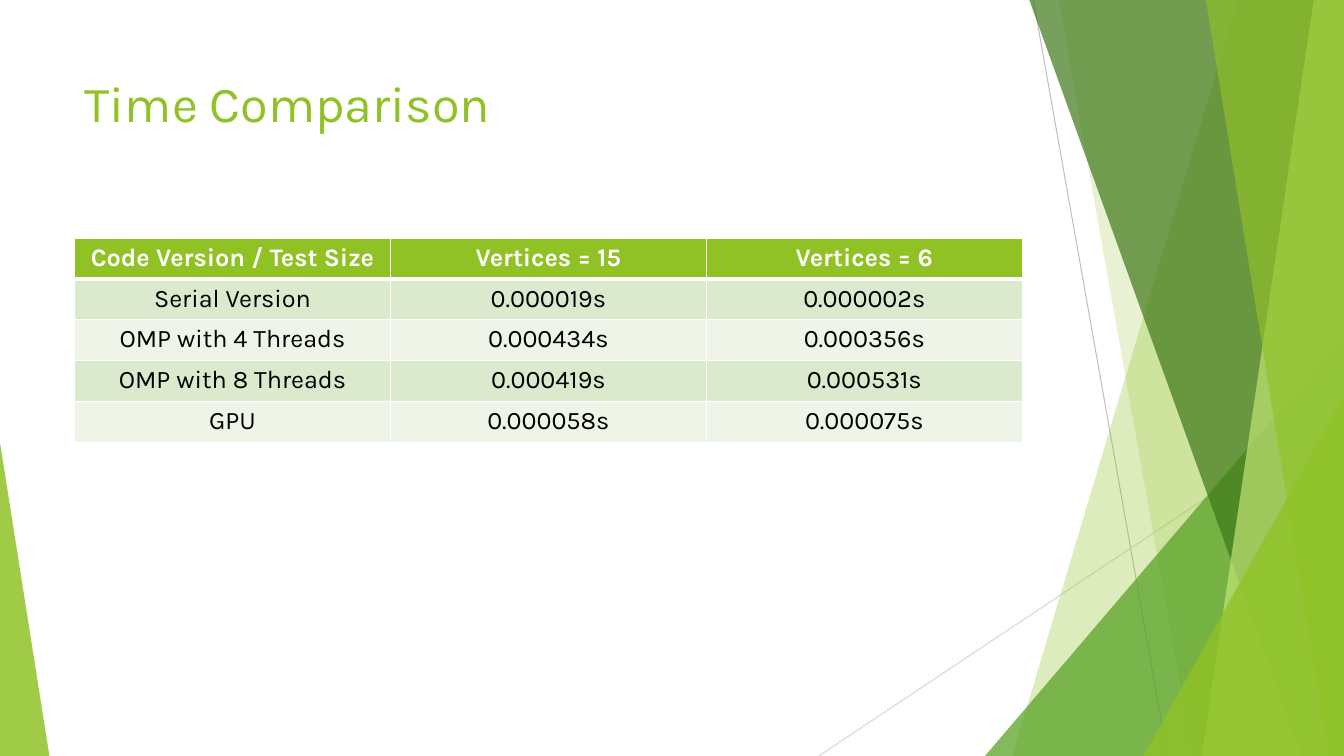
"""Build the Time Comparison slide: a timing table beside translucent green facets."""
from dataclasses import dataclass

from lxml.etree import SubElement
from pptx import Presentation
from pptx.dml.color import RGBColor
from pptx.enum.shapes import MSO_CONNECTOR, MSO_SHAPE
from pptx.enum.text import MSO_ANCHOR, MSO_AUTO_SIZE, PP_ALIGN
from pptx.oxml.ns import qn
from pptx.util import Inches, Pt


@dataclass(frozen=True)
class Theme:
    """Colours, font and type sizes of the slide."""
    font: str = "Karla"
    title_size: int = 36
    table_size: int = 18
    lime: str = "90C226"
    pale_lime: str = "C0E474"
    green: str = "54A021"
    forest: str = "3F7819"
    white: str = "FFFFFF"
    black: str = "000000"
    bands: tuple = ("EEF4E8", "DBE9CD")
    steep_line: str = "BFBFBF"
    shallow_line: str = "D9D9D9"


theme = Theme()
deck = Presentation()
deck.slide_width, deck.slide_height = Inches(13.33), Inches(7.5)


def across(percent):
    """Turn a percentage of the slide width into a length."""
    return round(deck.slide_width * percent / 100)


def down(percent):
    """Turn a percentage of the slide height into a length."""
    return round(deck.slide_height * percent / 100)


page = deck.slides.add_slide(deck.slide_layouts[5])

lines = [
    (76.89, 0, 86.87, 100, theme.steep_line),
    (100, 53.73, 60.92, 100, theme.shallow_line),
]
for start_x, start_y, end_x, end_y, colour in lines:
    line = page.shapes.add_connector(
        MSO_CONNECTOR.STRAIGHT, across(start_x), down(start_y), across(end_x), down(end_y))
    line.line.color.rgb = RGBColor.from_string(colour)
    line.line.width = Pt(0.75)
    SubElement(line.element.spPr, qn("a:effectLst"))

facets = [
    ("sheet", (92.12, 75.32), theme.lime, 30),
    ("sheet", (78.77, 88.75), theme.lime, 20),
    ("triangle", (73.29, 100, 44.4, 1), theme.green, 72),
    ("sheet", (76.59, 96.85), theme.forest, 70),
    ("sheet", (97.75, 89.42), theme.pale_lime, 70),
    ("sheet", (89.72, 98.87), theme.lime, 65),
    ("triangle", (85.07, 100, 52.4, 1), theme.lime, 80),
    ("triangle", (0, 3.68, 58.53, 0), theme.lime, 85),
]
for kind, place, colour, opacity in facets:
    if kind == "sheet":
        head, foot = place
        outline = page.shapes.build_freeform(across(head), 0)
        outline.add_line_segments(
            [(across(100), 0), (across(100), down(100)), (across(foot), down(100))])
        facet = outline.convert_to_shape()
    else:
        left, right, top, apex = place
        facet = page.shapes.add_shape(
            MSO_SHAPE.ISOSCELES_TRIANGLE, across(left), down(top),
            across(right - left), down(100 - top))
        facet.adjustments[0] = apex
    facet.shadow.inherit = False
    facet.line.fill.background()
    facet.fill.solid()
    facet.fill.fore_color.rgb = RGBColor.from_string(colour)
    tint = facet.element.spPr.find(qn("a:solidFill")).find(qn("a:srgbClr"))
    SubElement(tint, qn("a:alpha"), val=str(opacity * 1000))

title = page.shapes.title
title.left, title.top = across(5.55), down(8.93)
title.width, title.height = across(70.52), down(19.2)
title.text_frame.text = "Time Comparison"
title.text_frame.auto_size = MSO_AUTO_SIZE.NONE
title.text_frame.vertical_anchor = MSO_ANCHOR.TOP
heading = title.text_frame.paragraphs[0]
heading.alignment = PP_ALIGN.LEFT
heading.font.name = theme.font
heading.font.size = Pt(theme.title_size)
heading.font.color.rgb = RGBColor.from_string(theme.lime)

timings = [
    ("Code Version / Test Size", "Vertices = 15", "Vertices = 6"),
    ("Serial Version", "0.000019s", "0.000002s"),
    ("OMP with 4 Threads", "0.000434s", "0.000356s"),
    ("OMP with 8 Threads", "0.000419s", "0.000531s"),
    ("GPU", "0.000058s", "0.000075s"),
]
table = page.shapes.add_table(
    len(timings), len(timings[0]), across(5.55), down(31.47), across(70.52), down(27.07)).table
for row, values in enumerate(timings):
    is_header = row == 0
    for column, value in enumerate(values):
        cell = table.cell(row, column)
        cell.text = value
        cell.margin_left = cell.margin_right = Inches(0.08)
        cell.margin_top = cell.margin_bottom = Inches(0.05)
        para = cell.text_frame.paragraphs[0]
        para.alignment = PP_ALIGN.CENTER
        para.font.name = theme.font
        para.font.size = Pt(theme.table_size)
        para.font.bold = is_header
        para.font.color.rgb = RGBColor.from_string(theme.white if is_header else theme.black)
        properties = cell._tc.get_or_add_tcPr()
        for side in ("L", "R", "T", "B"):
            heavy = (is_header and side == "B") or (row == 1 and side == "T")
            border = SubElement(properties, qn(f"a:ln{side}"), w=str(Pt(3 if heavy else 1)))
            SubElement(SubElement(border, qn("a:solidFill")), qn("a:srgbClr"), val=theme.white)
        cell.fill.solid()
        cell.fill.fore_color.rgb = RGBColor.from_string(
            theme.lime if is_header else theme.bands[row % 2])

deck.save("out.pptx")
